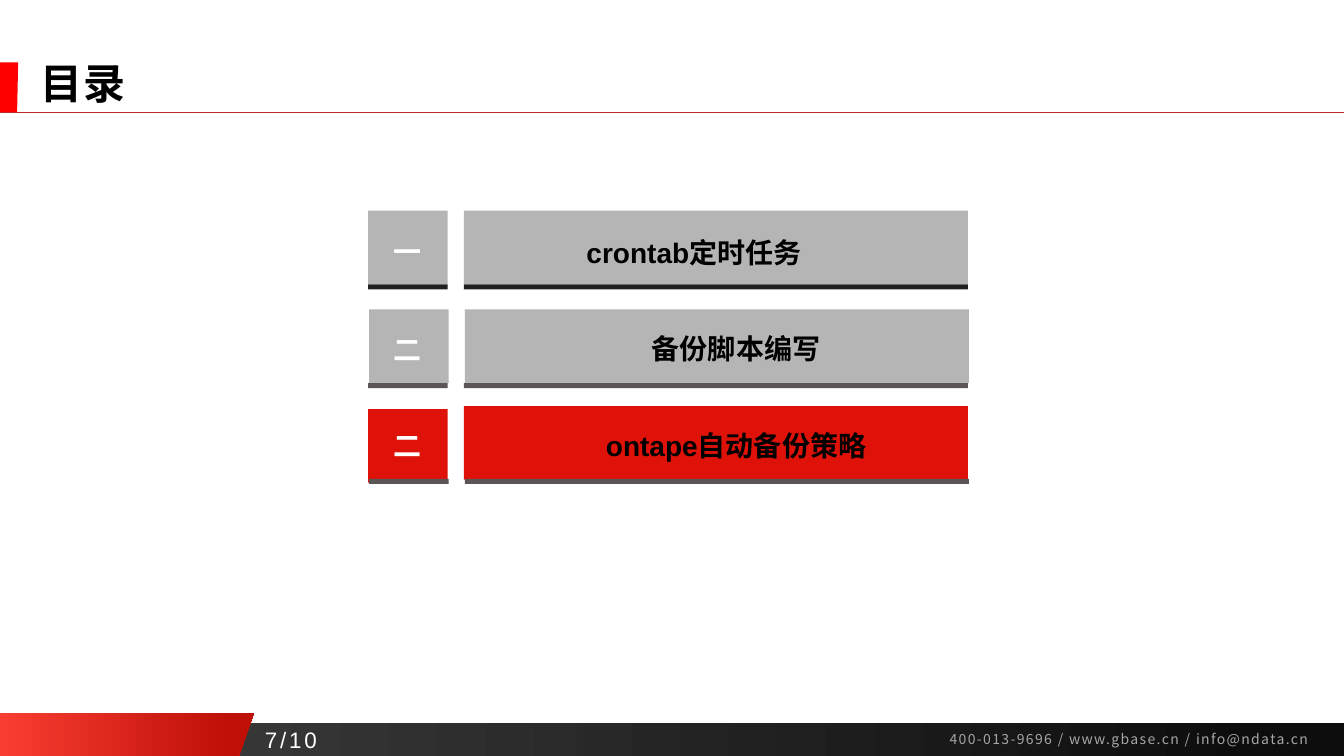
import pptx
import pptx.dml.color
import pptx.enum.shapes
import pptx.enum.text
import pptx.oxml
import pptx.oxml.ns
import pptx.util
from pptx.util import Inches

ANCHOR = pptx.enum.text.MSO_ANCHOR
ALIGN = pptx.enum.text.PP_ALIGN
CJK = "Noto Sans CJK SC"
GREY, RED = "B5B5B5", "DE1208"
WIDTH, HEIGHT = 13.33, 7.5

deck = pptx.Presentation()
deck.slide_width, deck.slide_height = Inches(WIDTH), Inches(HEIGHT)
slide = deck.slides.add_slide(deck.slide_layouts[6])


def paint(shape, *stops):
    """Fill with one colour, or with a left-to-right gradient of (colour, position) stops."""
    shape.shadow.inherit = False
    shape.line.fill.background()
    if len(stops) == 1:
        shape.fill.solid()
        shape.fill.fore_color.rgb = pptx.dml.color.RGBColor.from_string(stops[0])
        return
    shape.fill.gradient()
    shape.fill.gradient_angle = 0
    for stop, (color, position) in zip(shape.fill.gradient_stops, stops):
        stop.color.rgb = pptx.dml.color.RGBColor.from_string(color)
        stop.position = position


def add_label(text, box, size, font, color, bold=False, spacing=0, anchor=ANCHOR.MIDDLE):
    """Add a one-line text box; spacing is the letter spacing in points."""
    frame = slide.shapes.add_textbox(*map(Inches, box)).text_frame
    frame.word_wrap = True
    frame.vertical_anchor = anchor
    frame.text = text
    run = frame.paragraphs[0].runs[0]
    run.font.size = pptx.util.Pt(size)
    run.font.name = font
    run.font.bold = bold
    run.font.color.rgb = pptx.dml.color.RGBColor.from_string(color)
    properties = run.font._element
    properties.set("spc", str(spacing * 100))
    east_asian = pptx.oxml.parse_xml(f'<a:ea {pptx.oxml.ns.nsdecls("a")} typeface="{CJK}"/>')
    properties.find(pptx.oxml.ns.qn("a:latin")).addnext(east_asian)
    return frame


# Footer band, red corner and title marker
footer_band = slide.shapes.add_shape(
    pptx.enum.shapes.MSO_SHAPE.RECTANGLE, 0, Inches(7.17), Inches(WIDTH), Inches(0.33))
paint(footer_band, ("404040", 0), ("0D0D0D", 0.94))

slanted_parts = [
    (7.07, HEIGHT, 2.52, 2.37, [("F93D32", 0), ("BE1007", 0.91)]),
    (0.62, 1.12, 0.18, 0.17, ["FF0000"]),
]
for top, bottom, top_width, bottom_width, colors in slanted_parts:
    outline = slide.shapes.build_freeform(0, Inches(top))
    outline.add_line_segments([
        (Inches(top_width), Inches(top)),
        (Inches(bottom_width), Inches(bottom)),
        (0, Inches(bottom)),
    ])
    paint(outline.convert_to_shape(), *colors)

add_label("400-013-9696 / www.gbase.cn / info@ndata.cn", (9.32, 7.2, 3.99, 0.27),
          10, CJK, "A6A6A6", spacing=1)
add_label("7/10", (2.53, 7.15, 10, 0.3), 16, "Arial", "FFFFFF", spacing=2, anchor=ANCHOR.TOP)

# Title and its rule
title_rule = slide.shapes.add_connector(
    pptx.enum.shapes.MSO_CONNECTOR.STRAIGHT, 0, Inches(1.11), Inches(WIDTH), Inches(1.11))
title_rule.line.color.rgb = pptx.dml.color.RGBColor.from_string("B82E24")
title_rule.line.width = pptx.util.Pt(0.5)
title_rule._element.spPr.append(
    pptx.oxml.parse_xml(f'<a:effectLst {pptx.oxml.ns.nsdecls("a")}/>'))
title = add_label("目录", (0.3, 0.59, 12.26, 0.53), 30, CJK, "000000", bold=True, spacing=1)
title.paragraphs[0].line_spacing = 0.9

# Agenda: numeral, topic, tile left, numeral top, topic top, tile colour,
# strip left, strip top, strip colour, numeral text top, topic text top, side insets
agenda = [
    ("一", "crontab定时任务", 3.65, 2.09, 2.09, GREY, 3.65, 2.82, "202022", 2.27, 2.28, (0.1, 0.54)),
    ("二", "备份脚本编写", 3.66, 3.07, 3.07, GREY, 3.65, 3.8, "5A5656", 3.25, 3.24, (0.49, 0.1)),
    ("二", "ontape自动备份策略", 3.65, 4.06, 4.03, RED, 3.66, 4.75, "5A5656", 4.2, 4.2, (0.49, 0.1)),
]
TOPIC_OFFSET = 0.95
for (numeral, topic, tile_left, numeral_top, topic_top, tile_color, strip_left, strip_top,
     strip_color, numeral_text_top, topic_text_top, insets) in agenda:
    for offset, width, tile_top in [(0, 0.79, numeral_top), (TOPIC_OFFSET, 5, topic_top)]:
        for left, top, height, color in [(tile_left, tile_top, 0.73, tile_color),
                                         (strip_left, strip_top, 0.05, strip_color)]:
            block = slide.shapes.add_shape(
                pptx.enum.shapes.MSO_SHAPE.RECTANGLE,
                Inches(left + offset), Inches(top), Inches(width), Inches(height))
            paint(block, color)
    add_label(numeral, (3.8, numeral_text_top, 0.48, 0.44), 20, CJK, "FFFFFF", bold=True)
    topic_frame = add_label(topic, (4.79, topic_text_top, 4.63, 0.44), 20, "Arial", "000000", bold=True)
    topic_frame.margin_left, topic_frame.margin_right = map(Inches, insets)
    topic_frame.paragraphs[0].alignment = ALIGN.CENTER

deck.save("out.pptx")
